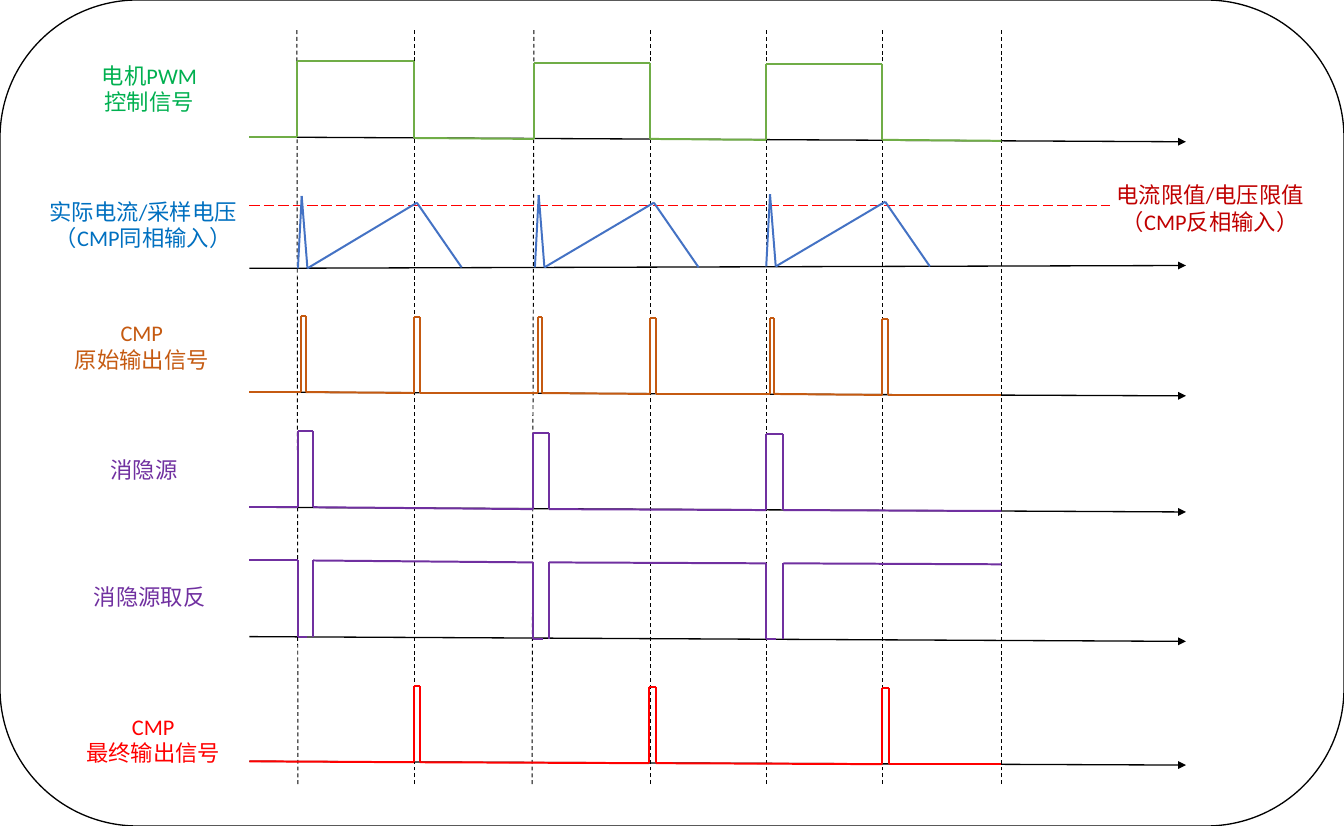
from dataclasses import dataclass
from itertools import pairwise

from lxml.etree import SubElement
from pptx import Presentation
from pptx.dml.color import RGBColor
from pptx.enum.dml import MSO_LINE
from pptx.enum.shapes import MSO_CONNECTOR, MSO_SHAPE
from pptx.enum.text import MSO_AUTO_SIZE, PP_ALIGN
from pptx.oxml.ns import qn
from pptx.shapes.connector import Connector
from pptx.slide import Slide
from pptx.util import Inches, Pt

WIDTH, HEIGHT = 14.12, 8.68
BLACK = RGBColor(0x00, 0x00, 0x00)
WHITE = RGBColor(0xFF, 0xFF, 0xFF)
RED = RGBColor(0xFF, 0x00, 0x00)
DARK_RED = RGBColor(0xC0, 0x00, 0x00)
BLUE = RGBColor(0x44, 0x72, 0xC4)
TEXT_BLUE = RGBColor(0x00, 0x70, 0xC0)
GREEN = RGBColor(0x70, 0xAD, 0x47)
TEXT_GREEN = RGBColor(0x00, 0xB0, 0x50)
ORANGE = RGBColor(0xC5, 0x5A, 0x11)
PURPLE = RGBColor(0x70, 0x30, 0xA0)

AXIS_LEFT, AXIS_RIGHT, SIGNAL_END = 2.62, 12.46, 10.52
PULSE_HEIGHT = 0.8

Point = tuple[float, float]


@dataclass(frozen=True)
class Axis:
    left_y: float
    right_y: float

    def level(self, x: float) -> float:
        """Height of the slightly sloping axis at x."""
        share = (x - AXIS_LEFT) / (AXIS_RIGHT - AXIS_LEFT)
        return round(self.left_y + share * (self.right_y - self.left_y), 2)


@dataclass(frozen=True)
class Signal:
    axis: Axis
    color: RGBColor
    pulses: tuple[tuple[float, float], ...]
    inverted: bool = False


@dataclass(frozen=True)
class Label:
    lines: tuple[str, ...]
    left: float
    top: float
    width: float
    height: float
    color: RGBColor


EDGES = ((3.12, 3.13), (4.35, 4.35), (5.61, 5.59), (6.83, 6.83),
         (8.05, 8.05), (9.27, 9.27), (10.52, 10.52))
BLANKING = ((3.13, 3.29), (5.6, 5.77), (8.05, 8.23))

CURRENT_AXIS = Axis(2.82, 2.79)
CYCLE_STARTS = (3.13, 5.62, 8.05)
CURRENT_SHAPE = ((0, 0), (0.04, 0.76), (0.1, 0), (1.25, 0.68), (1.72, 0))

SIGNALS = (
    Signal(Axis(1.44, 1.49), GREEN, ((3.12, 4.35), (5.61, 6.83), (8.05, 9.27))),
    Signal(Axis(4.12, 4.16), ORANGE,
           ((3.16, 3.21), (4.35, 4.41), (5.65, 5.69),
            (6.83, 6.89), (8.09, 8.13), (9.27, 9.33))),
    Signal(Axis(5.33, 5.38), PURPLE, BLANKING),
    Signal(Axis(6.69, 6.74), PURPLE, BLANKING, inverted=True),
    Signal(Axis(8.0, 8.04), RED, ((4.35, 4.41), (6.82, 6.89), (9.27, 9.34))),
)

LABELS = (
    Label(("电机PWM", "控制信号"), 0.95, 0.6, 1.24, 0.68, TEXT_GREEN),
    Label(("实际电流/采样电压", "（CMP同相输入）"), 0.4, 2.03, 2.21, 0.68, TEXT_BLUE),
    Label(("电流限值/电压限值", "（CMP反相输入）"), 11.61, 1.86, 2.21, 0.96, DARK_RED),
    Label(("CMP", "原始输出信号"), 0.67, 3.31, 1.64, 0.68, ORANGE),
    Label(("消隐源",), 1.05, 4.74, 0.93, 0.39, PURPLE),
    Label(("消隐源取反",), 0.87, 6.08, 1.41, 0.39, PURPLE),
    Label(("CMP", "最终输出信号"), 0.79, 7.44, 1.64, 0.68, RED),
)


def draw_line(page: Slide, start: Point, end: Point, color: RGBColor,
              width: float, dash: MSO_LINE | None = None) -> Connector:
    line = page.shapes.add_connector(
        MSO_CONNECTOR.STRAIGHT, *(Inches(value) for value in start + end))
    line.line.color.rgb = color
    line.line.width = Pt(width)
    if dash is not None:
        line.line.dash_style = dash
    SubElement(line.element.spPr, qn("a:effectLst"))
    return line


def draw_trace(page: Slide, points: list[Point], color: RGBColor) -> None:
    for start, end in pairwise(points):
        draw_line(page, start, end, color, 1.5)


def draw_axis(page: Slide, axis: Axis) -> None:
    line = draw_line(page, (AXIS_LEFT, axis.left_y),
                     (AXIS_RIGHT, axis.right_y), BLACK, 1)
    SubElement(line.line._get_or_add_ln(), qn("a:tailEnd"), type="triangle")


def draw_signal(page: Slide, signal: Signal) -> None:
    """Draw the axis and the pulse train, leaving inverted pulses half open."""
    draw_axis(page, signal.axis)

    def rest(x: float) -> float:
        return signal.axis.level(x) - (PULSE_HEIGHT if signal.inverted else 0)

    swing = PULSE_HEIGHT if signal.inverted else -PULSE_HEIGHT
    resume = AXIS_LEFT
    for left, right in signal.pulses:
        peak = rest(left) + swing
        cap_end = left + 0.1 if signal.inverted else right
        draw_trace(page, [(resume, rest(resume)), (left, rest(left)),
                          (left, peak), (cap_end, peak)], signal.color)
        draw_trace(page, [(right, peak), (right, rest(right))], signal.color)
        resume = right
    draw_trace(page, [(resume, rest(resume)), (SIGNAL_END, rest(SIGNAL_END))],
               signal.color)


def draw_current(page: Slide) -> None:
    draw_axis(page, CURRENT_AXIS)
    draw_line(page, (AXIS_LEFT, 2.16), (11.66, 2.16), RED, 1, MSO_LINE.LONG_DASH)
    for start in CYCLE_STARTS:
        points = [(start + offset, CURRENT_AXIS.level(start + offset) - rise)
                  for offset, rise in CURRENT_SHAPE]
        draw_trace(page, points, BLUE)


def draw_label(page: Slide, label: Label) -> None:
    box = page.shapes.add_textbox(Inches(label.left), Inches(label.top),
                                  Inches(label.width), Inches(label.height))
    frame = box.text_frame
    frame.word_wrap = True
    frame.auto_size = MSO_AUTO_SIZE.SHAPE_TO_FIT_TEXT
    frame.margin_left = frame.margin_right = Inches(0.11)
    frame.margin_top = frame.margin_bottom = Inches(0.05)
    frame.text = "\n".join(label.lines)
    for para in frame.paragraphs:
        para.alignment = PP_ALIGN.CENTER
        for span in para.runs:
            span.font.name = "Calibri"
            span.font.size = Pt(16.9)
            span.font.color.rgb = label.color


def draw_panel(page: Slide) -> None:
    panel = page.shapes.add_shape(MSO_SHAPE.ROUNDED_RECTANGLE, 0, 0,
                                  Inches(WIDTH), Inches(HEIGHT))
    panel.shadow.inherit = False
    panel.fill.solid()
    panel.fill.fore_color.rgb = WHITE
    panel.line.color.rgb = BLACK
    panel.line.width = Pt(1)


def main() -> None:
    deck = Presentation()
    deck.slide_width, deck.slide_height = Inches(WIDTH), Inches(HEIGHT)
    page = deck.slides.add_slide(deck.slide_layouts[6])
    draw_panel(page)
    for top_x, bottom_x in EDGES:
        draw_line(page, (bottom_x, 8.24), (top_x, 0.3), BLACK, 0.75, MSO_LINE.DASH)
    draw_current(page)
    for signal in SIGNALS:
        draw_signal(page, signal)
    for label in LABELS:
        draw_label(page, label)
    deck.save("out.pptx")


if __name__ == "__main__":
    main()
